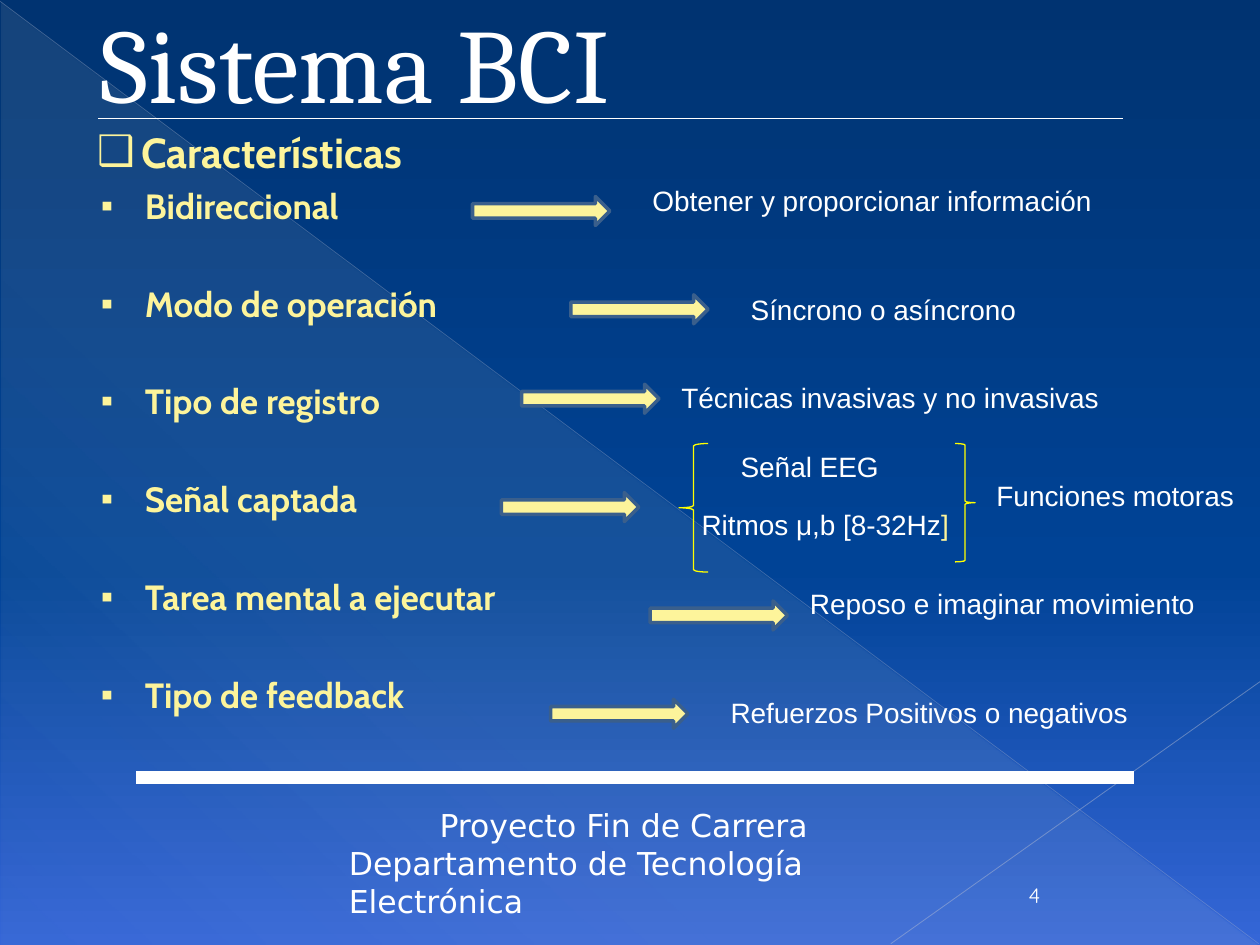
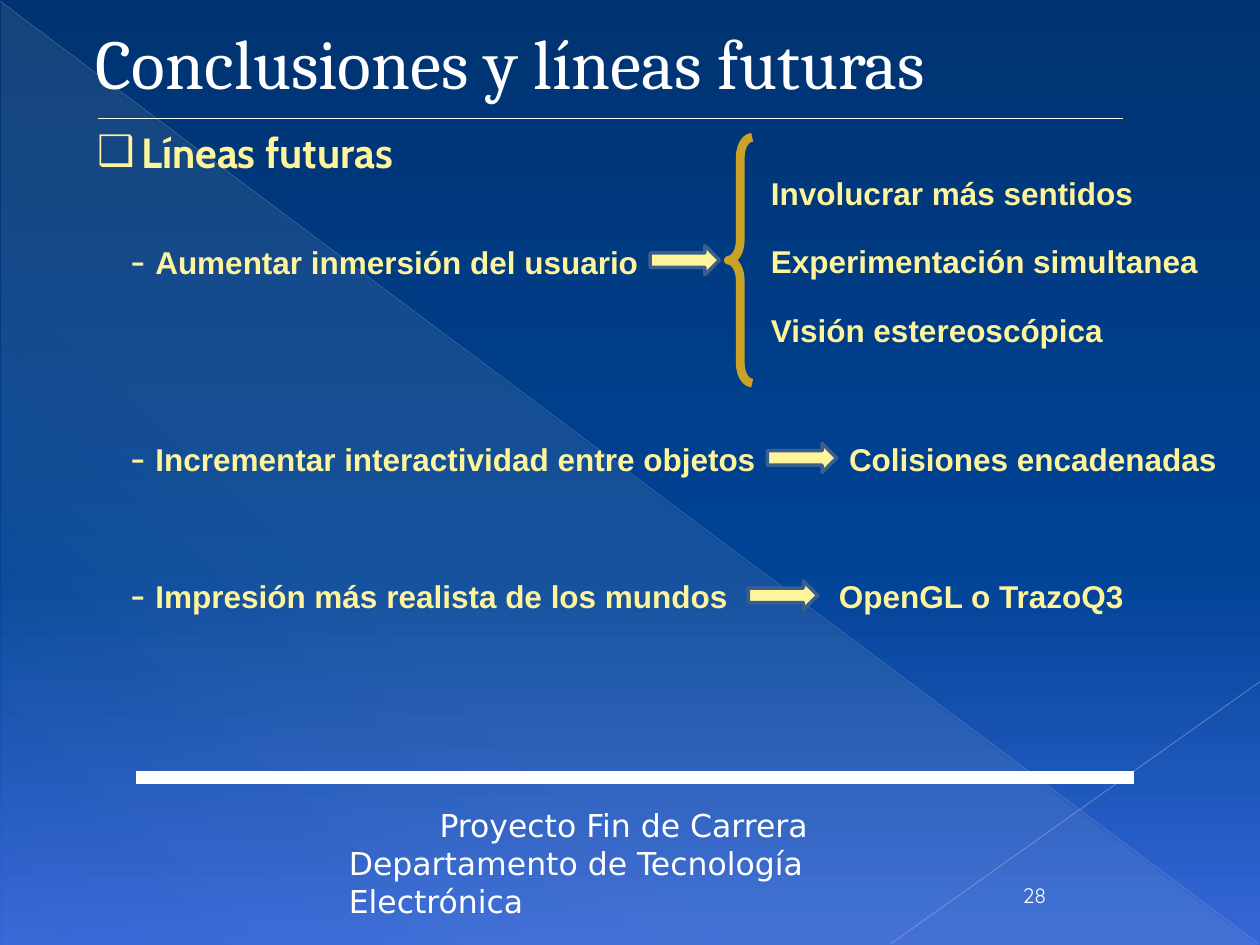
from lxml import etree
from pptx import Presentation
from pptx.dml.color import RGBColor
from pptx.enum.shapes import MSO_CONNECTOR, MSO_SHAPE
from pptx.enum.text import MSO_ANCHOR, MSO_AUTO_SIZE, PP_ALIGN
from pptx.oxml.ns import qn
from pptx.util import Inches, Pt

STRAIGHT = MSO_CONNECTOR.STRAIGHT
TRIANGLE, ARROW = MSO_SHAPE.RIGHT_TRIANGLE, MSO_SHAPE.RIGHT_ARROW
LEFT_BRACE, RIGHT_BRACE = MSO_SHAPE.LEFT_BRACE, MSO_SHAPE.RIGHT_BRACE
LEFT, CENTER = PP_ALIGN.LEFT, PP_ALIGN.CENTER
MIDDLE, BOTTOM = MSO_ANCHOR.MIDDLE, MSO_ANCHOR.BOTTOM
NO_AUTOFIT = MSO_AUTO_SIZE.NONE

WHITE, CREAM, STEEL = "FFFFFF", "FDF49B", "3A5F8C"
YELLOW, GOLD = "FFFF00", "C9A227"
rgb = RGBColor.from_string


def write(paragraph, text, size, font, color=WHITE, bold=False):
    run = paragraph.add_run()
    run.text = text
    run.font.size, run.font.name, run.font.bold = Pt(size), font, bold
    run.font.color.rgb = rgb(color)


def text_frame(slide, *at):
    frame = slide.shapes.add_textbox(*map(Inches, at)).text_frame
    frame.word_wrap = True
    return frame


prs = Presentation()
prs.slide_width, prs.slide_height = Inches(10), Inches(7.5)
master = prs.slide_master
layout = prs.slide_layouts[1]
system, conclusions = [prs.slides.add_slide(layout) for _ in range(2)]

# Shared backdrop: gradient, pale triangle, hairlines and footer rule
master.background.fill.solid()
master.background.fill.fore_color.rgb = rgb(WHITE)
triangle = system.shapes.add_shape(
    TRIANGLE, Inches(0.01), Inches(0.02), Inches(9.98), Inches(7.48))
triangle.shadow.inherit = False
triangle.fill.solid()
triangle.fill.fore_color.rgb = rgb(WHITE)
triangle.line.fill.background()

gradients = [
    (master, 90, [(0, "003371", 100), (60, "004396", 100), (100, "3566D7", 100)]),
    (triangle, 133, [(0, "EEECE1", 10), (70, "EEECE1", 8), (100, "EEECE1", 1)]),
]
for owner, angle, stops in gradients:
    solid = owner.element.find(".//" + qn("a:solidFill"))
    gradient = etree.Element(qn("a:gradFill"), rotWithShape="1")
    stop_list = etree.SubElement(gradient, qn("a:gsLst"))
    for position, color, opacity in stops:
        stop = etree.SubElement(stop_list, qn("a:gs"), pos=str(position * 1000))
        tint = etree.SubElement(stop, qn("a:srgbClr"), val=color)
        etree.SubElement(tint, qn("a:alpha"), val=str(opacity * 1000))
    etree.SubElement(gradient, qn("a:lin"), ang=str(angle * 60000), scaled="0")
    solid.getparent().replace(solid, gradient)

backdrop = [triangle]
title_rules = []
title_rule = (0.78, 0.94, 8.91, 0.94, WHITE, 1, 100)
rules = [
    (system, backdrop, (0, 0.01, 9.99, 7.49, "ADB6CE", 0.39, 35)),
    (system, backdrop, (10, 5.41, 7.07, 7.49, "B6BED3", 0.47, 45)),
    (system, backdrop, (1.08, 6.17, 9, 6.17, WHITE, 7, 100)),
    (system, title_rules, title_rule),
    (conclusions, title_rules, title_rule),
]
for slide, group, (x1, y1, x2, y2, color, width, opacity) in rules:
    rule = slide.shapes.add_connector(STRAIGHT, *map(Inches, (x1, y1, x2, y2)))
    rule.line.width = Pt(width)
    rule.line.color.rgb = rgb(color)
    tint = rule.element.find(".//" + qn("a:ln")).find(".//" + qn("a:srgbClr"))
    etree.SubElement(tint, qn("a:alpha"), val=str(opacity * 1000))
    etree.SubElement(rule.element.spPr, qn("a:effectLst"))
    group.append(rule)

# Shared footer
footer = system.shapes.add_textbox(*map(Inches, (2.67, 6.35, 4.74, 1)))
footer.text_frame.word_wrap = True
project = footer.text_frame.paragraphs[0]
write(project, "Proyecto Fin de Carrera", 18, "DejaVu Sans")
project._p.get_or_add_pPr().set("indent", str(Inches(0.72)))
department = footer.text_frame.add_paragraph()
write(department, "Departamento de Tecnología Electrónica", 18, "DejaVu Sans")
backdrop.append(footer)

# The backdrop belongs to the master, so every slide shows it
for number, part in enumerate(backdrop, 20):
    part.element.find(".//" + qn("p:cNvPr")).set("id", str(number))
    master.shapes.element.append(part.element)

# Titles, lists and page numbers
features = ["Bidireccional", "Modo de operación", "Tipo de registro",
            "Señal captada", "Tarea mental a ejecutar", "Tipo de feedback"]
pages = [
    (system, "Sistema BCI", 60.3, 0.7, "Características", features, "4"),
    (conclusions, "Conclusiones y líneas futuras", 40, 0.66,
     "Líneas futuras", [], "28"),
]
for slide, heading, size, indent, topic, items, page in pages:
    title = slide.shapes.title
    title.left, title.top, title.width, title.height = map(
        Inches, (0, -0.01, 9, 1))
    frame = title.text_frame
    frame.auto_size, frame.vertical_anchor = NO_AUTOFIT, MIDDLE
    frame.margin_top = frame.margin_bottom = 0
    frame.margin_left = Inches(indent + 0.1)
    frame.paragraphs[0].alignment = LEFT
    write(frame.paragraphs[0], heading, size, "Cambria")

    body = slide.placeholders[1]
    body.left, body.top, body.width, body.height = map(
        Inches, (0.57, 0.95, 9, 5.13))
    frame = body.text_frame
    frame.auto_size = NO_AUTOFIT
    for row, text in enumerate([topic] + items):
        paragraph = frame.add_paragraph() if row else frame.paragraphs[0]
        mark, margin, points = ("▪", 0.48, 20) if row else ("❑", 0.45, 24)
        properties = paragraph._p.get_or_add_pPr()
        properties.set("marL", str(Inches(margin)))
        properties.set("indent", str(Inches(-0.35)))
        bullet_color = etree.SubElement(properties, qn("a:buClr"))
        etree.SubElement(bullet_color, qn("a:srgbClr"), val=CREAM)
        etree.SubElement(properties, qn("a:buChar"), char=mark)
        paragraph.space_before = Pt((0, 4.5)[row] if row < 2 else 31.9)
        write(paragraph, text, points, "Cabin", CREAM, True)

    frame = text_frame(slide, 7.17, 6.75, 2.08, 0.5)
    frame.vertical_anchor = BOTTOM
    frame.paragraphs[0].alignment = CENTER
    write(frame.paragraphs[0], page, 12, "Quicksand")

# Arrows: left, top and length
arrows = [
    (system, 1.09, [(3.75, 1.56), (4.53, 2.34), (4.14, 3.05),
                    (3.98, 3.91), (5.16, 4.77), (4.37, 5.55)]),
    (conclusions, 0.55, [(5.16, 1.95), (6.09, 3.52), (5.94, 4.61)]),
]
for slide, length, places in arrows:
    for left, top in places:
        arrow = slide.shapes.add_shape(
            ARROW, Inches(left), Inches(top), Inches(length), Inches(0.23))
        arrow.shadow.inherit = False
        arrow.fill.solid()
        arrow.fill.fore_color.rgb = rgb(CREAM)
        arrow.line.color.rgb = rgb(STEEL)
        arrow.line.width = Pt(2)

# Braces
braces = [
    (system, LEFT_BRACE, (5.39, 3.52, 0.23, 1.02), YELLOW, 0.75, 0.08),
    (system, RIGHT_BRACE, (7.58, 3.52, 0.16, 0.94), YELLOW, 0.75, 0.08),
    (conclusions, LEFT_BRACE, (5.78, 1.09, 0.19, 1.95), GOLD, 5, 0.83),
]
for slide, kind, at, color, width, curve in braces:
    brace = slide.shapes.add_shape(kind, *map(Inches, at))
    brace.shadow.inherit = False
    brace.fill.background()
    brace.line.color.rgb = rgb(color)
    brace.line.width = Pt(width)
    brace.adjustments[0] = curve

# What each feature of the system means
meanings = [
    (5.08, 1.41, 3.98, "Obtener y proporcionar información"),
    (5.86, 2.27, 2.66, "Síncrono o asíncrono"),
    (5.31, 2.97, 4.3, "Técnicas invasivas y no invasivas"),
    (5.78, 3.52, 2.03, "Señal EEG"),
    (5.47, 3.98, 2.66, "Ritmos μ,b [8-32Hz"),
    (7.81, 3.75, 2.19, "Funciones motoras"),
    (6.33, 4.61, 3.44, "Reposo e imaginar movimiento"),
    (5.7, 5.47, 3.83, "Refuerzos Positivos o negativos"),
]
for left, top, width, text in meanings:
    meaning = text_frame(system, left, top, width, 0.37).paragraphs[0]
    write(meaning, text, 16, "Arial")
    if "[" in text:
        write(meaning, "]", 16, "Arial", CREAM)

# Future lines and what they lead to
goals = [
    (1.8, 4.3, "Aumentar inmersión del usuario"),
    (3.36, 5.31, "Incrementar interactividad entre objetos"),
    (4.45, 5.08, "Impresión más realista de los mundos"),
]
for top, width, text in goals:
    goal = text_frame(conclusions, 0.94, top, width, 0.5).paragraphs[0]
    write(goal, "- ", 24, "Times New Roman", CREAM)
    write(goal, text, 18, "Arial", CREAM, True)

outcomes = [
    (6.02, 1.33, "Involucrar más sentidos"),
    (6.02, 1.87, "Experimentación simultanea"),
    (6.02, 2.42, "Visión estereoscópica"),
    (6.64, 3.44, "Colisiones encadenadas"),
    (6.56, 4.53, "OpenGL o TrazoQ3"),
]
for left, top, text in outcomes:
    outcome = text_frame(conclusions, left, top, 3.3 if left > 6.1 else 3.7, 0.4)
    write(outcome.paragraphs[0], text, 18, "Arial", CREAM, True)

prs.save("out.pptx")
